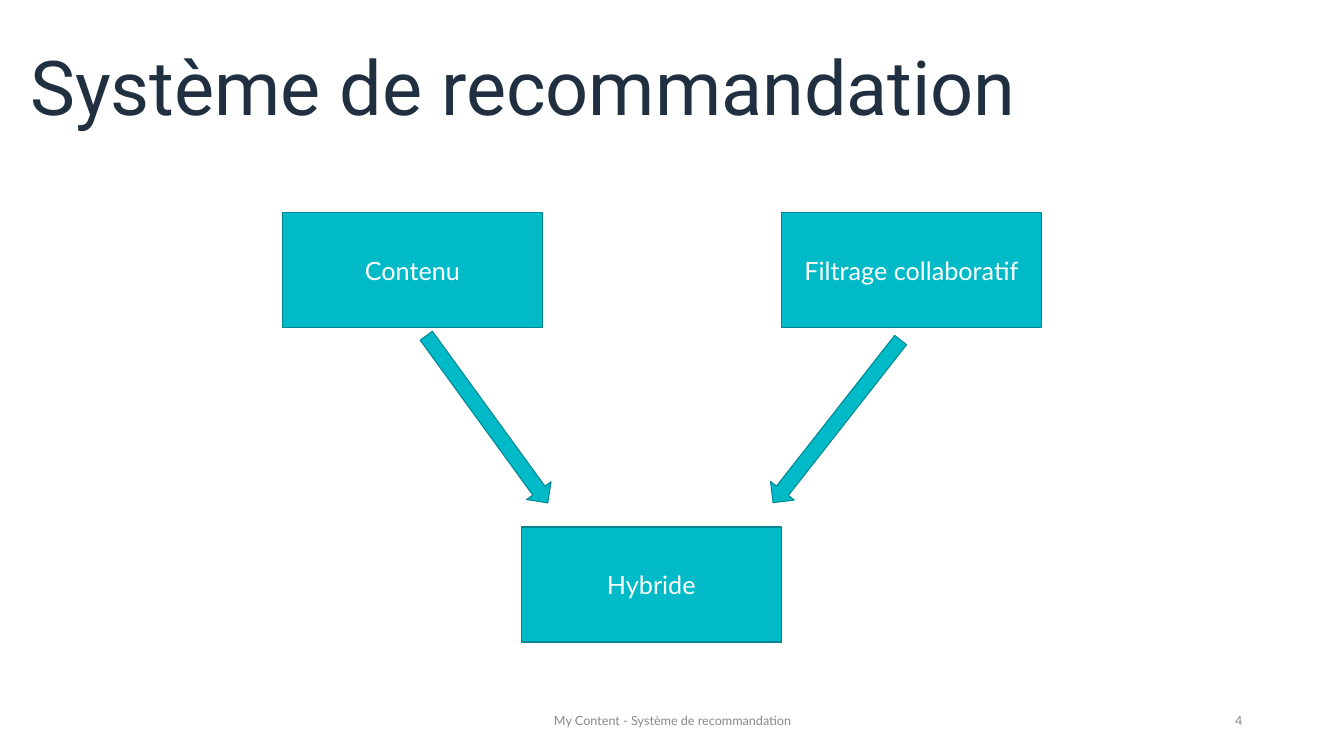
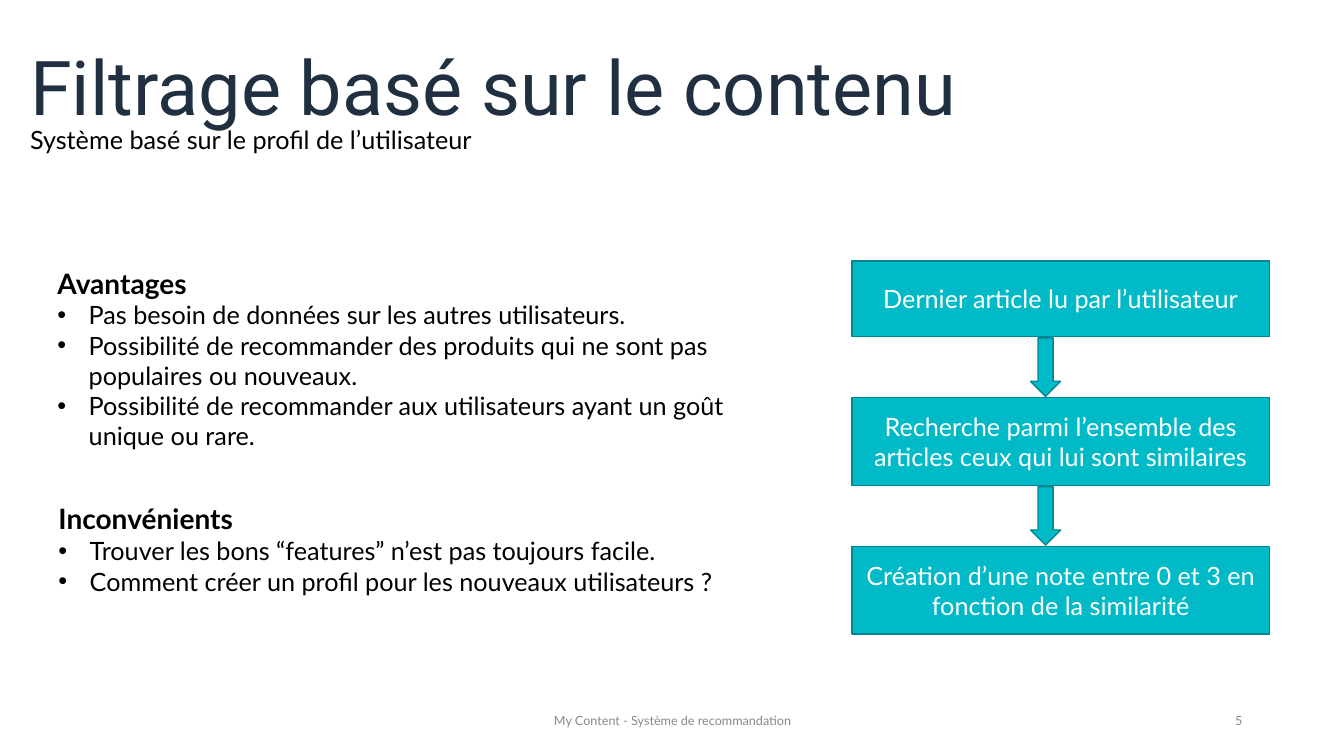
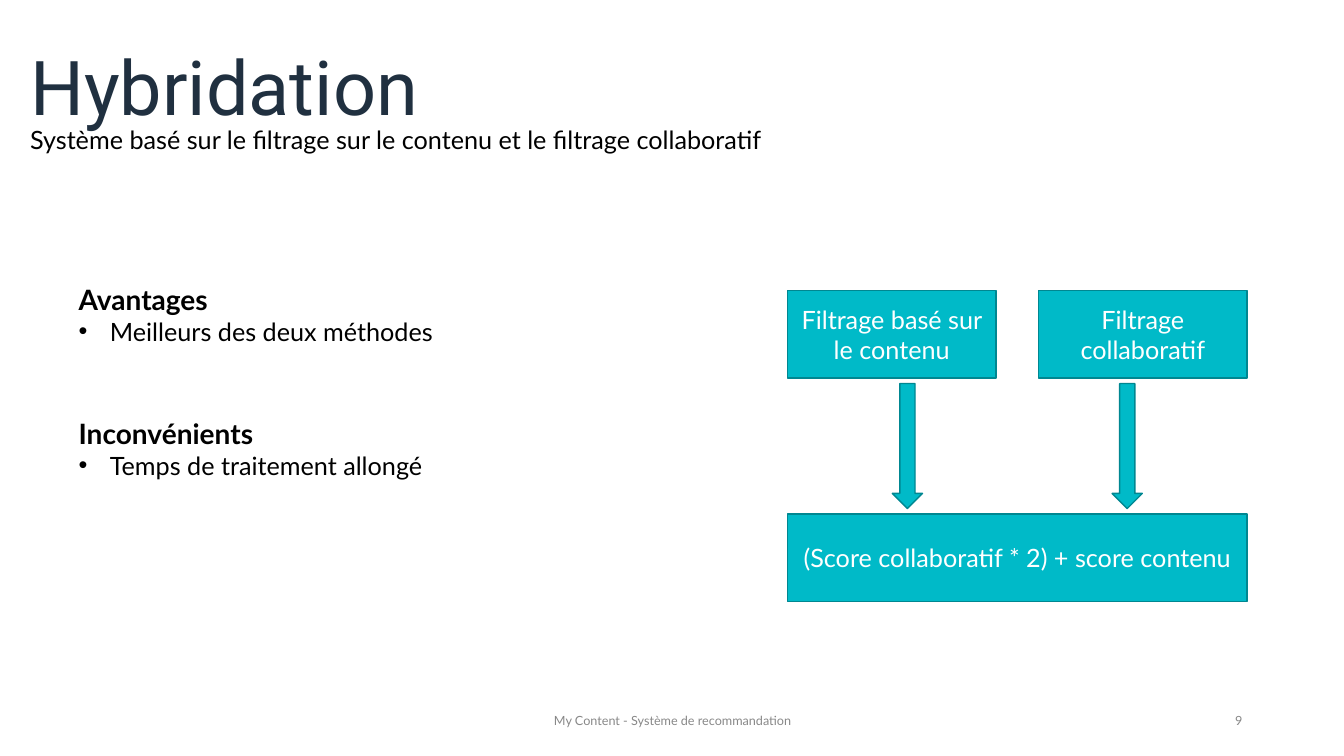
from typing import NamedTuple

from lxml.etree import SubElement
from pptx import Presentation
from pptx.dml.color import RGBColor
from pptx.enum.shapes import MSO_SHAPE
from pptx.enum.text import MSO_ANCHOR, MSO_AUTO_SIZE, PP_ALIGN
from pptx.oxml.ns import qn
from pptx.util import Inches, Pt

TEAL = RGBColor(0x00, 0xBA, 0xC8)
DARK_TEAL = RGBColor(0x00, 0x87, 0x91)
NAVY = RGBColor(0x20, 0x30, 0x40)
GRAY = RGBColor(0x88, 0x88, 0x88)
BLACK = RGBColor(0x00, 0x00, 0x00)
WHITE = RGBColor(0xFF, 0xFF, 0xFF)

BODY_FONT = "Lato"
TITLE_FONT = "Roboto"
FOOTER = "My Content - Système de recommandation"
TWO_CONTENT, TITLE_ONLY = 3, 5
BULLET_INDENT = 0.31
ARROW_THICKNESS = 0.3


class Box(NamedTuple):
    """A rectangle on the slide, in inches."""

    left: float
    top: float
    width: float
    height: float

    def lengths(self):
        """Return the four measures as lengths."""
        return [Inches(value) for value in self]


def add_span(para, text, size, color, font=BODY_FONT, bold=False):
    """Add one formatted run to a paragraph."""
    span = para.add_run()
    span.text = text
    span.font.name = font
    span.font.size = Pt(size)
    span.font.bold = bold
    span.font.color.rgb = color


def move_placeholder(holder, box, anchor):
    """Place a placeholder in a box and fix its text frame."""
    holder.left, holder.top, holder.width, holder.height = box.lengths()
    frame = holder.text_frame
    frame.word_wrap = True
    frame.auto_size = MSO_AUTO_SIZE.NONE
    frame.vertical_anchor = anchor
    return frame


def add_label(page, box, text, size, color, align=PP_ALIGN.LEFT, anchor=MSO_ANCHOR.TOP):
    """Add a single-paragraph text box."""
    frame = page.shapes.add_textbox(*box.lengths()).text_frame
    frame.word_wrap = True
    frame.vertical_anchor = anchor
    para = frame.paragraphs[0]
    para.alignment = align
    add_span(para, text, size, color)


def add_page(deck, layout, title, number):
    """Add a slide with the shared title and footer."""
    page = deck.slides.add_slide(deck.slide_layouts[layout])
    frame = move_placeholder(page.shapes.title, Box(0.2, 0.2, 13.33, 1.15), MSO_ANCHOR.BOTTOM)
    para = frame.paragraphs[0]
    para.alignment = PP_ALIGN.LEFT
    add_span(para, title, 54, NAVY, TITLE_FONT)
    add_label(page, Box(4.42, 6.95, 4.5, 0.4), FOOTER, 9, GRAY, PP_ALIGN.CENTER, MSO_ANCHOR.MIDDLE)
    add_label(page, Box(9.42, 6.95, 3, 0.4), str(number), 9, GRAY, PP_ALIGN.RIGHT, MSO_ANCHOR.MIDDLE)
    return page


def add_subtitle(page, text, width):
    """Add the line of text under the title."""
    add_label(page, Box(0.2, 1.18, width, 0.4), text, 18, BLACK)


def set_bullet(para, bulleted):
    """Give a paragraph a hanging bullet, or none."""
    properties = para._p.get_or_add_pPr()
    indent = Inches(BULLET_INDENT) if bulleted else 0
    properties.set("marL", str(indent))
    properties.set("indent", str(-indent))
    if bulleted:
        SubElement(properties, qn("a:buFont"), typeface="Arial")
        SubElement(properties, qn("a:buChar"), char="•")
    else:
        SubElement(properties, qn("a:buNone"))


def add_list(page, index, box, heading, items):
    """Fill a body placeholder with a bold heading and bullets."""
    frame = move_placeholder(page.placeholders[index], box, MSO_ANCHOR.TOP)
    for position, text in enumerate([heading, *items]):
        para = frame.add_paragraph() if position else frame.paragraphs[0]
        para.space_before = Pt(0)
        set_bullet(para, position > 0)
        add_span(para, text, 18 if position else 20, BLACK, bold=position == 0)


def add_filled(page, kind, box, weight):
    """Add a teal shape with a dark outline."""
    shape = page.shapes.add_shape(kind, *box.lengths())
    shape.shadow.inherit = False
    shape.fill.solid()
    shape.fill.fore_color.rgb = TEAL
    shape.line.color.rgb = DARK_TEAL
    shape.line.width = Pt(weight)
    return shape


def add_block(page, box, text):
    """Add a rectangle with centred white text."""
    frame = add_filled(page, MSO_SHAPE.RECTANGLE, box, 1).text_frame
    frame.word_wrap = True
    frame.vertical_anchor = MSO_ANCHOR.MIDDLE
    para = frame.paragraphs[0]
    para.alignment = PP_ALIGN.CENTER
    add_span(para, text, 18, WHITE)


def add_arrow(page, center_x, center_y, length, angle=90, weight=1):
    """Add a block arrow turned about its centre."""
    box = Box(center_x - length / 2, center_y - ARROW_THICKNESS / 2, length, ARROW_THICKNESS)
    add_filled(page, MSO_SHAPE.RIGHT_ARROW, box, weight).rotation = angle


def draw_systems(page, box):
    """Draw two systems that lead to a hybrid one."""
    width, height = 2.58, 1.14
    right = box.left + box.width - width
    bottom = box.top + box.height - height
    add_block(page, Box(box.left, box.top, width, height), "Contenu")
    add_block(page, Box(right, box.top, width, height), "Filtrage collaboratif")
    add_block(page, Box(right - width, bottom, width, height), "Hybride")
    add_arrow(page, box.left + 5.5, box.top + 2.07, 2.05, 128.1, 0.75)
    add_arrow(page, box.left + 2.03, box.top + 2.05, 2.05, 54, 0.75)


def draw_steps(page, box, steps):
    """Stack the steps with an arrow in each gap."""
    gap = (box.height - sum(height for _, height in steps)) / (len(steps) - 1)
    top = box.top
    for position, (text, height) in enumerate(steps):
        if position:
            add_arrow(page, box.left + 1.92, top - gap / 2, 0.58)
        add_block(page, Box(box.left, top, box.width, height), text)
        top += height + gap


def draw_merge(page, box, sources, result):
    """Draw two sources above the result they feed."""
    width, height = 2.07, 0.87
    arrow_inset = 1.19
    right = box.left + box.width
    lefts = (box.left, right - width)
    centers = (box.left + arrow_inset, right - arrow_inset)
    for text, left, center in zip(sources, lefts, centers):
        add_block(page, Box(left, box.top, width, height), text)
        add_arrow(page, center, box.top + box.height / 2, 1.24)
    add_block(page, Box(box.left, box.top + box.height - height, box.width, height), result)


def build_systems(deck):
    """Build the overview slide."""
    page = add_page(deck, TITLE_ONLY, "Système de recommandation", 4)
    draw_systems(page, Box(2.8, 2.11, 7.53, 4.26))


def build_content(deck):
    """Build the slide on content-based filtering."""
    page = add_page(deck, TWO_CONTENT, "Filtrage basé sur le contenu", 5)
    add_subtitle(page, "Système basé sur le profil de l’utilisateur", 13.33)
    add_list(page, 1, Box(0.47, 2.59, 7.1, 1.95), "Avantages", [
        "Pas besoin de données sur les autres utilisateurs.",
        "Possibilité de recommander des produits qui ne sont pas populaires ou nouveaux.",
        "Possibilité de recommander aux utilisateurs ayant un goût unique ou rare.",
    ])
    add_list(page, 2, Box(0.48, 4.93, 7.1, 1.04), "Inconvénients", [
        "Trouver les bons “features” n’est pas toujours facile.",
        "Comment créer un profil pour les nouveaux utilisateurs ?",
    ])
    draw_steps(page, Box(8.45, 2.59, 4.14, 3.7), [
        ("Dernier article lu par l’utilisateur", 0.75),
        ("Recherche parmi l’ensemble des articles ceux qui lui sont similaires", 0.87),
        ("Création d’une note entre 0 et 3 en fonction de la similarité", 0.87),
    ])


def build_hybrid(deck):
    """Build the slide on the hybrid system."""
    page = add_page(deck, TWO_CONTENT, "Hybridation", 9)
    add_subtitle(page, "Système basé sur le filtrage sur le contenu et le filtrage collaboratif", 7.81)
    add_list(page, 1, Box(0.68, 2.75, 5.82, 0.74), "Avantages", ["Meilleurs des deux méthodes"])
    add_list(page, 2, Box(0.68, 4.08, 5.82, 0.74), "Inconvénients", ["Temps de traitement allongé"])
    draw_merge(
        page,
        Box(7.81, 2.88, 4.56, 3.09),
        ("Filtrage basé sur le contenu", "Filtrage collaboratif"),
        "(Score collaboratif * 2) + score contenu",
    )


def main():
    """Build and save the deck."""
    deck = Presentation()
    deck.slide_width, deck.slide_height = Inches(13.33), Inches(7.5)
    build_systems(deck)
    build_content(deck)
    build_hybrid(deck)
    deck.save("out.pptx")


if __name__ == "__main__":
    main()
